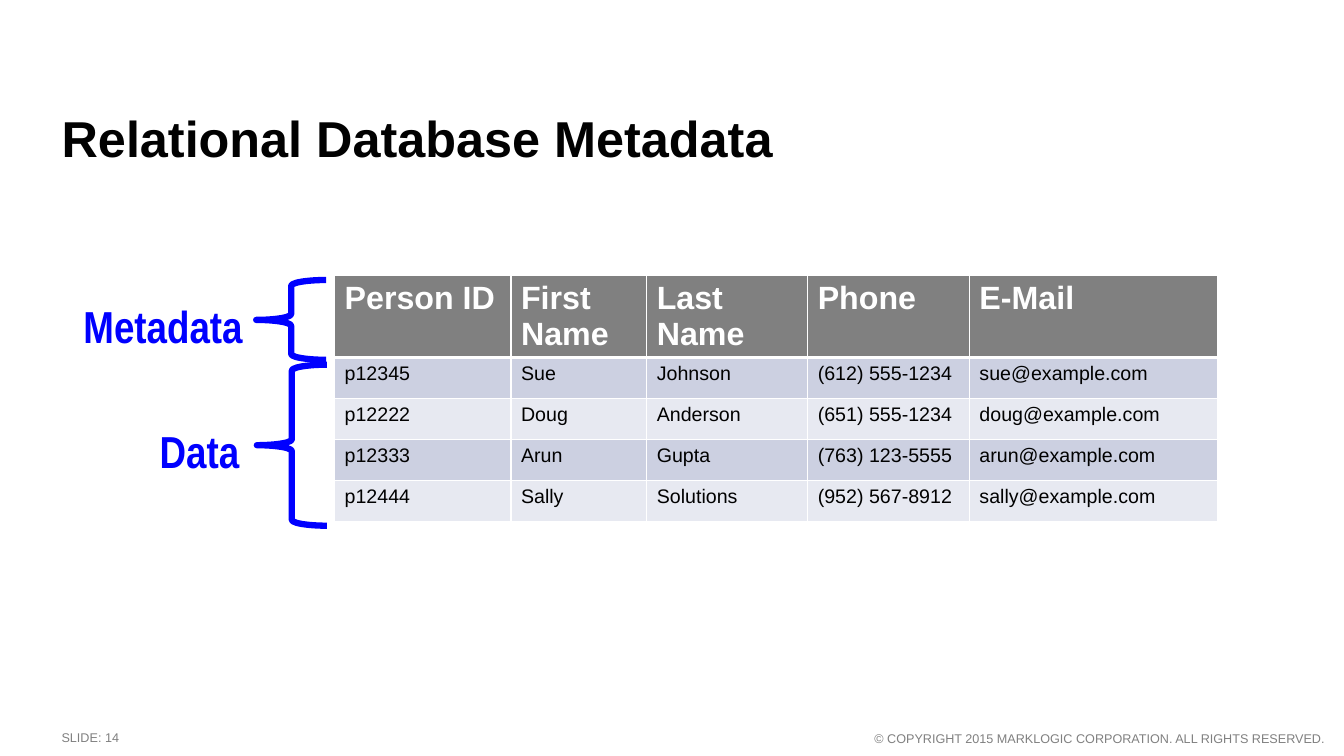
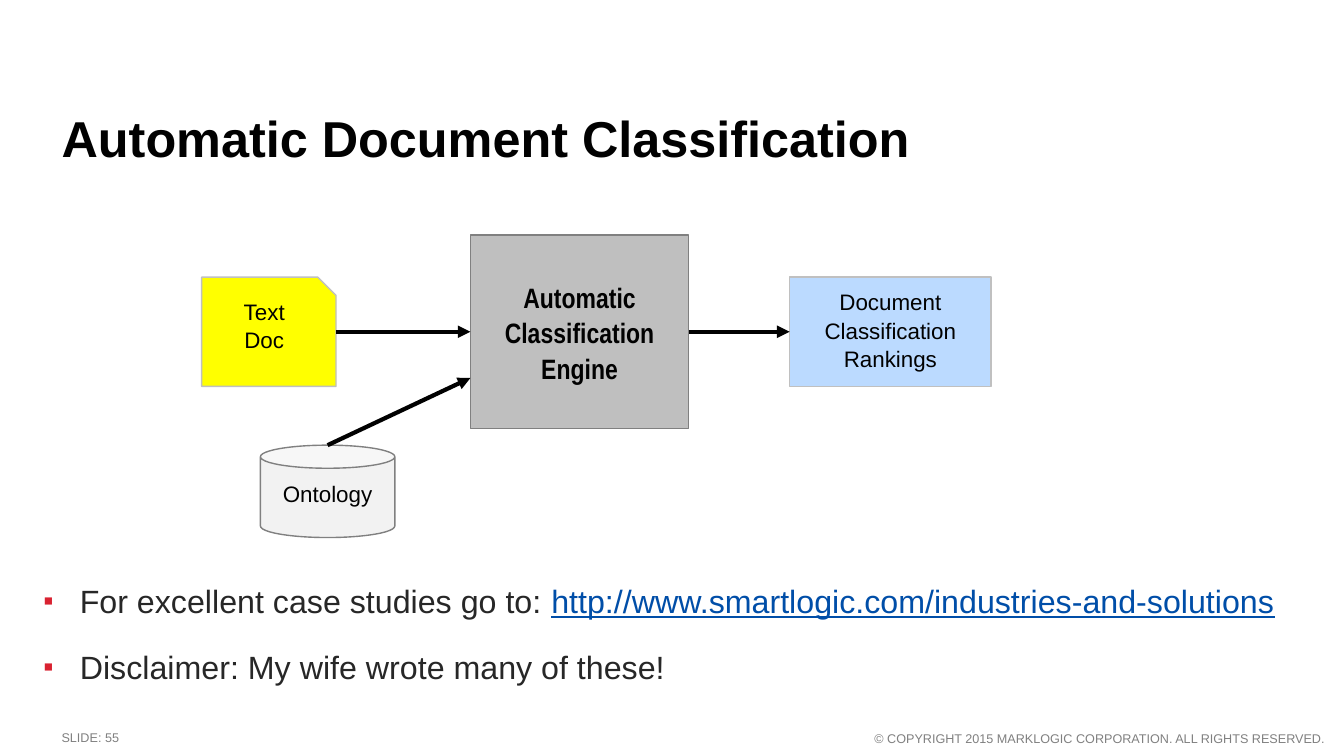
from dataclasses import dataclass

from pptx import Presentation
from pptx.dml.color import RGBColor
from pptx.enum.shapes import MSO_CONNECTOR as Connector, MSO_SHAPE as Shape
from pptx.enum.text import MSO_ANCHOR as Anchor, MSO_AUTO_SIZE as AutoSize, PP_ALIGN as Align
from pptx.oxml import parse_xml
from pptx.oxml.ns import nsdecls
from pptx.util import Pt


@dataclass(frozen=True)
class Theme:
    font: str = "Arial"
    narrow: str = "Arial Narrow"
    ink: str = "010101"
    body_ink: str = "272727"
    link: str = "004EA8"
    bullet: str = "D92231"
    white: str = "FFFFFF"
    gray: str = "808080"
    outline: str = "C0C0C0"
    engine: str = "BFBFBF"
    store: str = "F2F2F2"
    document: str = "FFFF00"
    result: str = "BBDAFF"
    brace: str = "0000FF"
    bands: tuple = ("CCD0E1", "E7E9F1")
    title_size: int = 36
    label_size: int = 32
    body_size: int = 23
    engine_size: int = 20
    node_size: int = 16
    cell_size: int = 14
    footer_size: int = 9
    spacing: float = 1.05


@dataclass(frozen=True)
class Box:
    left: float
    top: float
    width: float
    height: float

    @property
    def right(self):
        return self.left + self.width

    @property
    def middle(self):
        return self.top + self.height / 2

    def inner(self, left, top, width, height):
        return Box(self.left + left, self.top + top, width, height)

    def lengths(self):
        return Pt(self.left), Pt(self.top), Pt(self.width), Pt(self.height)


THEME = Theme()
TITLE_BOX = Box(44, 80, 873, 46)
NUMBER_BOX = Box(44, 521.5, 398, 12)
COPYRIGHT_BOX = Box(606, 522, 340, 11)
TABLE_BOX = Box(239, 196.5, 630.5, 175.5)
DIAGRAM_BOX = Box(144, 168, 564, 216)
LIST_BOX = Box(24, 414, 912, 84)

COLUMNS = (126, 97, 115, 115.5, 177)
PEOPLE = (
    ("Person ID", "First Name", "Last Name", "Phone", "E-Mail"),
    ("p12345", "Sue", "Johnson", "(612) 555-1234", "sue@example.com"),
    ("p12222", "Doug", "Anderson", "(651) 555-1234", "doug@example.com"),
    ("p12333", "Arun", "Gupta", "(763) 123-5555", "arun@example.com"),
    ("p12444", "Sally", "Solutions", "(952) 567-8912", "sally@example.com"),
)
CASE_STUDIES = (
    (("For excellent case studies go to: ", {}),
     ("http://www.smartlogic.com/industries-and-solutions",
      {"color": THEME.link, "underline": True})),
    "Disclaimer: My wife wrote many of these!",
)


def rgb(color):
    return RGBColor.from_string(color)


def format_span(span, size, color, font=THEME.font, bold=False, underline=None):
    span.font.size = Pt(size)
    span.font.name = font
    span.font.bold = bold
    span.font.underline = underline
    span.font.color.rgb = rgb(color)


def write(frame, lines, align=Align.LEFT, spacing=THEME.spacing, **style):
    for index, line in enumerate(lines):
        para = frame.paragraphs[0] if index == 0 else frame.add_paragraph()
        para.alignment = align
        para.line_spacing = spacing
        for text, changes in ((line, {}),) if isinstance(line, str) else line:
            span = para.add_run()
            span.text = text
            format_span(span, **{**style, **changes})


def set_frame(frame, anchor=Anchor.TOP, side=0, edge=0):
    frame.word_wrap = True
    frame.auto_size = AutoSize.NONE
    frame.vertical_anchor = anchor
    frame.margin_left = frame.margin_right = Pt(side)
    frame.margin_top = frame.margin_bottom = Pt(edge)
    return frame


def add_text(page, box, lines, **style):
    frame = set_frame(page.shapes.add_textbox(*box.lengths()).text_frame)
    write(frame, lines, **style)


def fill_placeholder(holder, box, lines, **style):
    holder.left, holder.top, holder.width, holder.height = box.lengths()
    write(set_frame(holder.text_frame), lines, **style)


def add_page(deck, layout, title, number):
    page = deck.slides.add_slide(deck.slide_layouts[layout])
    fill_placeholder(page.shapes.title, TITLE_BOX, [title], spacing=Pt(40),
                     size=THEME.title_size, color=THEME.ink, bold=True)
    footer = {"size": THEME.footer_size, "color": THEME.gray, "spacing": 1.0}
    add_text(page, NUMBER_BOX, [f"SLIDE: {number}"], **footer)
    add_text(page, COPYRIGHT_BOX,
             ["© COPYRIGHT 2015 MARKLOGIC CORPORATION. ALL RIGHTS RESERVED."],
             align=Align.RIGHT, **footer)
    return page


def add_shape(page, kind, box, line, width, fill=None):
    shape = page.shapes.add_shape(kind, *box.lengths())
    shape.shadow.inherit = False
    shape.line.color.rgb = rgb(line)
    shape.line.width = Pt(width)
    if fill:
        shape.fill.solid()
        shape.fill.fore_color.rgb = rgb(fill)
    else:
        shape.fill.background()
    return shape


def add_node(page, kind, box, lines, fill, line, anchor=Anchor.TOP,
             size=THEME.node_size, **style):
    shape = add_shape(page, kind, box, line, 1, fill)
    frame = set_frame(shape.text_frame, anchor, side=14.4, edge=7.2)
    write(frame, lines, align=Align.CENTER, size=size, color=THEME.ink, **style)


def add_arrow(page, start, end):
    arrow = page.shapes.add_connector(Connector.STRAIGHT, *map(Pt, start + end))
    arrow.line.color.rgb = rgb(THEME.ink)
    arrow.line.width = Pt(3)
    arrow.line._get_or_add_ln().append(parse_xml(f'<a:tailEnd {nsdecls("a")} type="triangle"/>'))
    arrow._element.spPr.append(parse_xml(f'<a:effectLst {nsdecls("a")}/>'))


def set_borders(cell, heavy_side):
    properties = cell._tc.get_or_add_tcPr()
    for side in "LRTB":
        width = Pt(3 if side == heavy_side else 1)
        properties.append(parse_xml(
            f'<a:ln{side} {nsdecls("a")} w="{width}"><a:solidFill>'
            f'<a:srgbClr val="{THEME.white}"/></a:solidFill></a:ln{side}>'))


def add_people_table(page, box):
    table = page.shapes.add_table(len(PEOPLE), len(COLUMNS), *box.lengths()).table
    unit = box.height / (len(PEOPLE) + 1)
    for column, width in zip(table.columns, COLUMNS):
        column.width = Pt(width)
    for row_index, record in enumerate(PEOPLE):
        header = row_index == 0
        table.rows[row_index].height = Pt(unit * (2 if header else 1))
        fill = THEME.gray if header else THEME.bands[(row_index - 1) % 2]
        heavy_side = {0: "B", 1: "T"}.get(row_index)
        for column_index, text in enumerate(record):
            cell = table.cell(row_index, column_index)
            set_borders(cell, heavy_side)
            cell.fill.solid()
            cell.fill.fore_color.rgb = rgb(fill)
            write(cell.text_frame, [text], spacing=1.0, bold=header,
                  size=THEME.body_size if header else THEME.cell_size,
                  color=THEME.white if header else THEME.ink)


def add_brace_label(page, box, text, gap):
    add_shape(page, Shape.LEFT_BRACE, box, THEME.brace, 4.5)
    label = Box(box.left - gap - 125, box.middle - 17, 125, 28)
    add_text(page, label, [text], align=Align.RIGHT, size=THEME.label_size,
             color=THEME.brace, font=THEME.narrow, bold=True)


def add_classification_diagram(page, box):
    document = box.inner(0, 30, 96, 78)
    engine = box.inner(192, 0, 156, 138)
    rankings = box.inner(420, 30, 144, 78)
    ontology = box.inner(42, 150, 96, 66)
    add_node(page, Shape.RECTANGLE, engine, ["Automatic", "Classification", "Engine"],
             THEME.engine, THEME.gray, anchor=Anchor.MIDDLE,
             size=THEME.engine_size, font=THEME.narrow, bold=True)
    add_node(page, Shape.SNIP_1_RECTANGLE, document, ["Text", "Doc"],
             THEME.document, THEME.outline)
    add_node(page, Shape.CAN, ontology, ["Ontology"], THEME.store, THEME.gray)
    add_node(page, Shape.RECTANGLE, rankings, ["Document", "Classification", "Rankings"],
             THEME.result, THEME.outline)
    add_arrow(page, (document.right, document.middle), (engine.left, engine.middle))
    add_arrow(page, (ontology.left + ontology.width / 2, ontology.top),
              (engine.left, engine.top + 102))
    add_arrow(page, (engine.right, engine.middle), (rankings.left, rankings.middle))


def add_bullet_list(page, box, lines):
    holder = page.placeholders[1]
    fill_placeholder(holder, box, lines, size=THEME.body_size, color=THEME.body_ink)
    for index, para in enumerate(holder.text_frame.paragraphs):
        properties = para._p.get_or_add_pPr()
        properties.set("marL", str(Pt(33)))
        properties.set("indent", str(Pt(-26)))
        for bullet in (f'buClr {nsdecls("a")}><a:srgbClr val="{THEME.bullet}"/></a:buClr',
                       f'buSzPct {nsdecls("a")} val="90000"/',
                       f'buFont {nsdecls("a")} typeface="{THEME.font}"/',
                       f'buChar {nsdecls("a")} char="▪"/'):
            properties.append(parse_xml(f"<a:{bullet}>"))
        para.space_before = Pt(12 if index else 0)
        para.space_after = Pt(6)


def build_metadata_page(deck):
    page = add_page(deck, 5, "Relational Database Metadata", 14)
    add_people_table(page, TABLE_BOX)
    add_brace_label(page, TABLE_BOX.inner(-56, 3.5, 50, 57), "Metadata", 9.5)
    add_brace_label(page, TABLE_BOX.inner(-55.5, 64, 50, 115), "Data", 12.5)


def build_classification_page(deck):
    page = add_page(deck, 1, "Automatic Document Classification", 55)
    add_bullet_list(page, LIST_BOX, CASE_STUDIES)
    add_classification_diagram(page, DIAGRAM_BOX)


def main():
    deck = Presentation()
    deck.slide_width, deck.slide_height = Pt(960), Pt(540)
    build_metadata_page(deck)
    build_classification_page(deck)
    deck.save("out.pptx")


if __name__ == "__main__":
    main()
